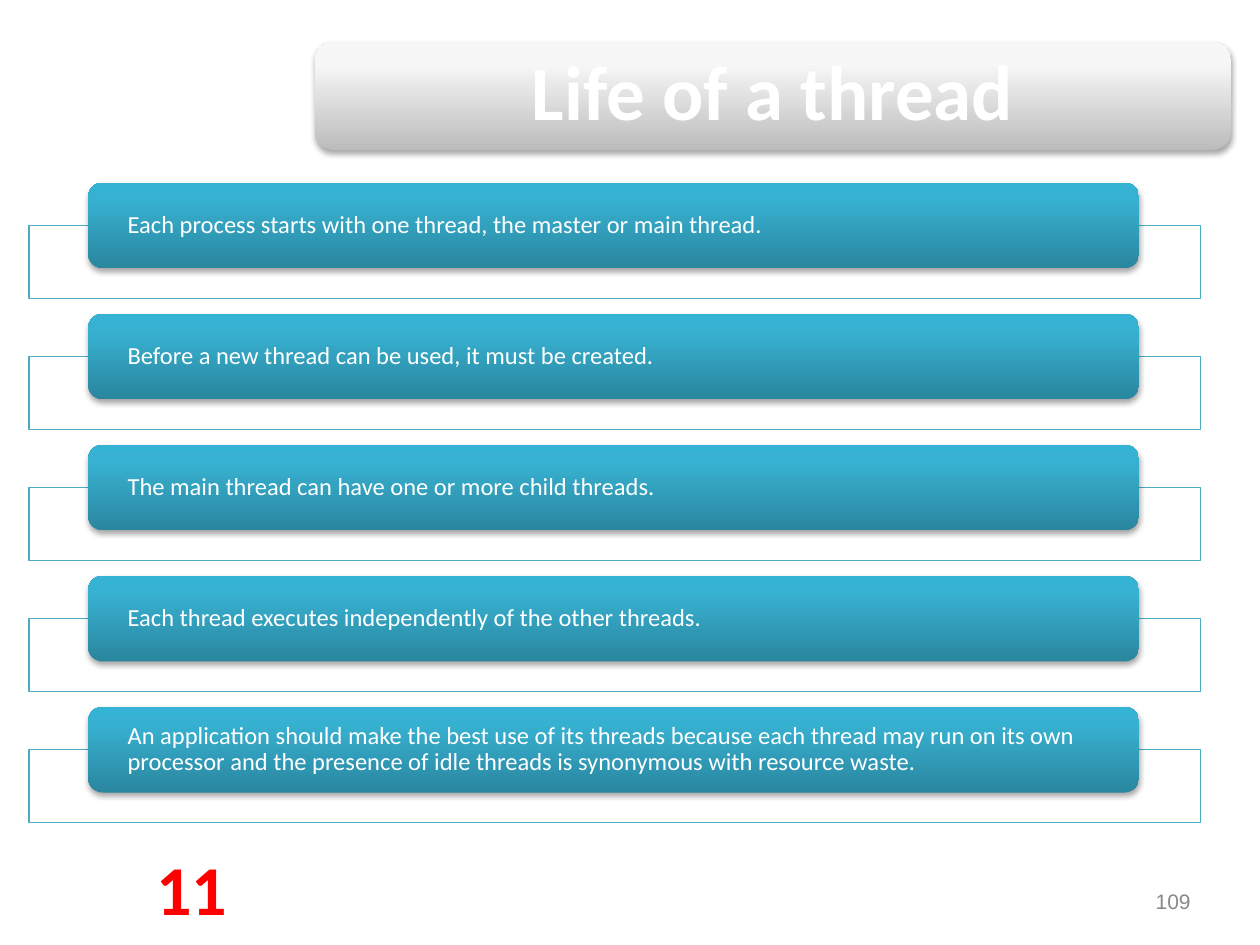
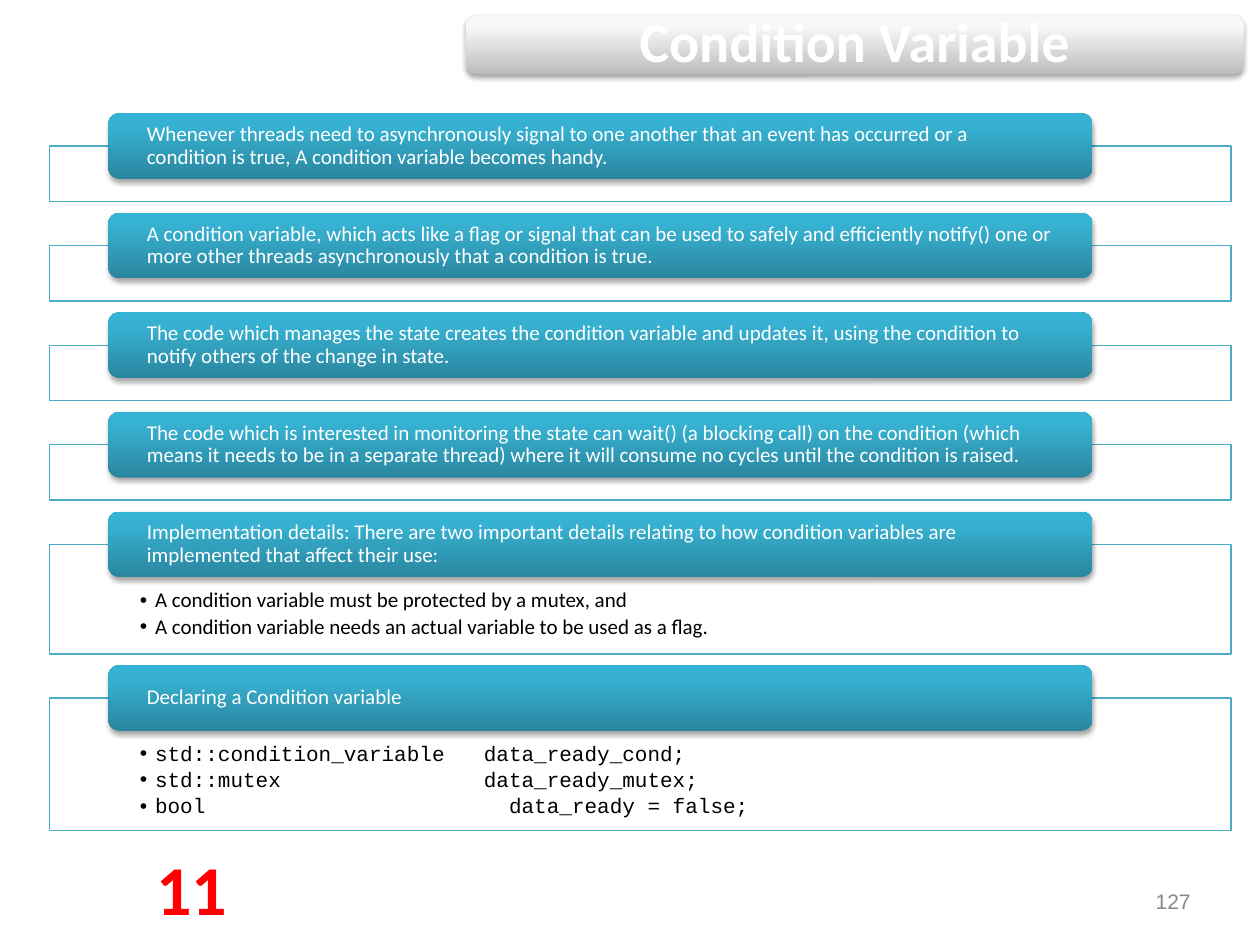
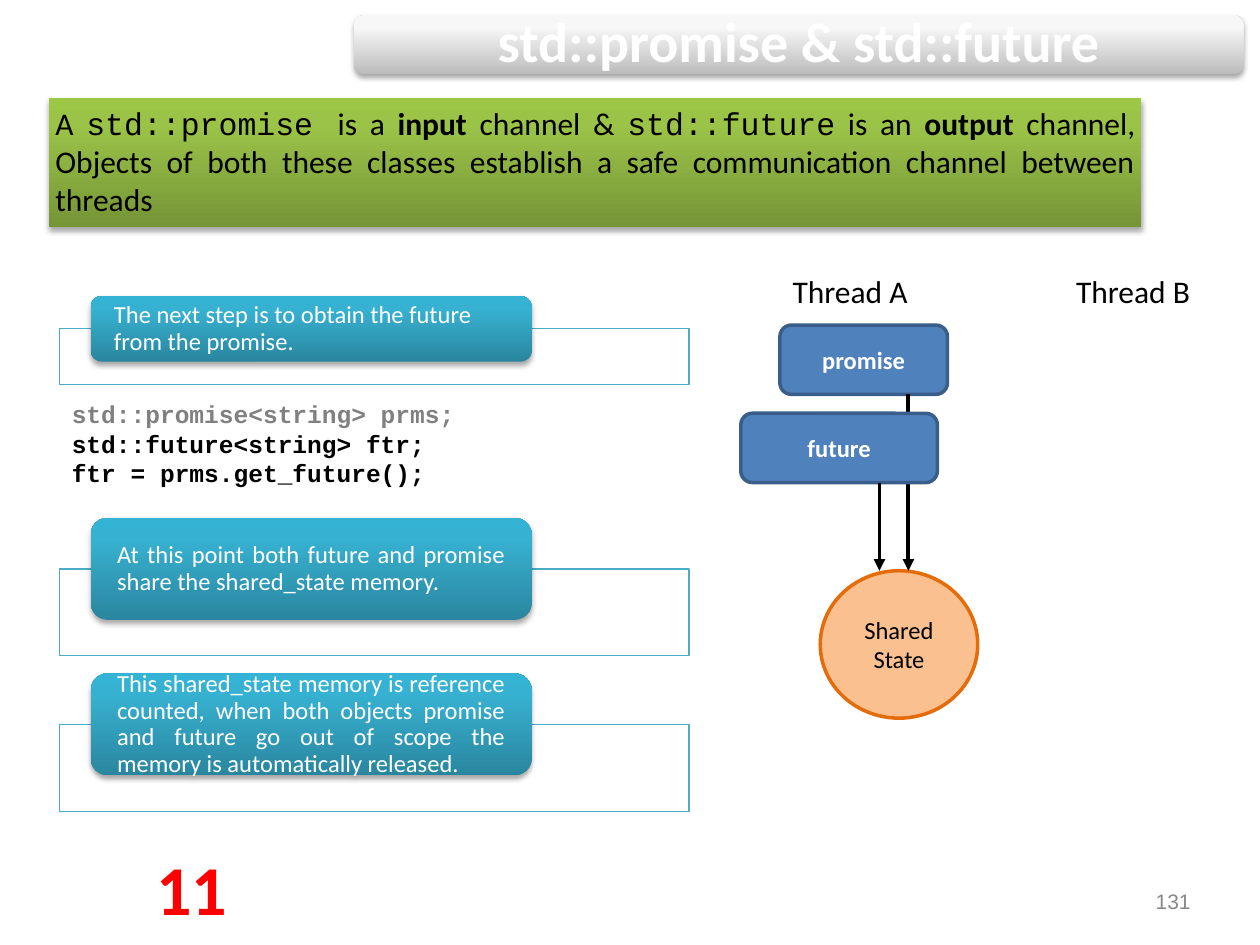
from dataclasses import dataclass

from lxml import etree
from pptx import Presentation
from pptx.dml.color import RGBColor
from pptx.enum.shapes import MSO_CONNECTOR, MSO_SHAPE
from pptx.enum.text import MSO_ANCHOR, MSO_AUTO_SIZE, PP_ALIGN
from pptx.oxml.ns import qn
from pptx.util import Inches, Pt

LEFT, CENTER, RIGHT, JUSTIFY = PP_ALIGN.LEFT, PP_ALIGN.CENTER, PP_ALIGN.RIGHT, PP_ALIGN.JUSTIFY
TOP, MIDDLE = MSO_ANCHOR.TOP, MSO_ANCHOR.MIDDLE
RECT, ROUND, OVAL = MSO_SHAPE.RECTANGLE, MSO_SHAPE.ROUNDED_RECTANGLE, MSO_SHAPE.OVAL
TITLE_ONLY, TWO_CONTENT = 5, 3


@dataclass(frozen=True)
class Theme:
    font: str = "Calibri"
    code: str = "Courier New"
    number_font: str = "Arial"
    white: str = "FFFFFF"
    black: str = "000000"
    grey: str = "808080"
    number: str = "888888"
    red: str = "FF0000"
    frame: str = "4BACC6"
    box: str = "4F81BD"
    box_line: str = "3A5E8A"
    state: str = "FAC090"
    state_line: str = "E46C0A"
    silver: tuple = ((0, "BCBCBC"), (80, "F7F7F7"), (100, "F8F8F8"))
    teal: tuple = ((0, "2A869F"), (80, "37B1D1"), (100, "34B3D5"))
    green: tuple = ((0, "769537"), (80, "9BC348"), (100, "9CC646"))
    title_big: int = 44
    title: int = 32
    badge: int = 40
    lead: int = 18
    body: int = 14
    small: int = 12


T = Theme()

LIFE = [
    ("Each process starts with one thread, the master or main thread.", 0.58),
    ("Before a new thread can be used, it must be created.", 0.58),
    ("The main thread can have one or more child threads.", 0.58),
    ("Each thread executes independently of the other threads.", 0.58),
    ("An application should make the best use of its threads because each thread may run on its own "
     "processor and the presence of idle threads is synonymous with resource waste.", 0.58),
]
CONDITION = [
    ("Whenever threads need to asynchronously signal to one another that an event has occurred or a "
     "condition is true, A condition variable becomes handy.", 0.44),
    ("A condition variable, which acts like a flag or signal that can be used to safely and efficiently "
     "notify() one or more other threads asynchronously that a condition is true.", 0.44),
    ("The code which manages the state creates the condition variable and updates it, using the "
     "condition to notify others of the change in state.", 0.44),
    ("The code which is interested in monitoring the state can wait() (a blocking call) on the condition "
     "(which means it needs to be in a separate thread) where it will consume no cycles until the "
     "condition is raised.", 0.44),
    ("Implementation details: There are two important details relating to how condition variables are "
     "implemented that affect their use:", 0.87),
    ("Declaring a Condition variable", 1.05),
]
DETAILS = [
    "A condition variable must be protected by a mutex, and",
    "A condition variable needs an actual variable to be used as a flag.",
]
DECLARATIONS = [
    "std::condition_variable\tdata_ready_cond;",
    "std::mutex\tdata_ready_mutex;",
    "bool\t\tdata_ready = false;",
]
DECLARATION_TABS = (2.73, 2.93)
OBTAIN = [("The next step is to obtain the future from the promise.", 0.44)]
SHARED = [
    ("At this point both future and promise share the shared_state memory.", 0.69),
    ("This shared_state memory is reference counted, when both objects promise and future go out of "
     "scope the memory is automatically released.", 0.69),
]
CHANNEL = [[
    ("A ", {}),
    ("std::promise ", {"font": T.code}),
    ("is a ", {}),
    ("input", {"bold": True}),
    (" channel & ", {}),
    ("std::future", {"font": T.code}),
    (" is an ", {}),
    ("output", {"bold": True}),
    (" channel, Objects of both these classes establish a safe communication channel between threads", {}),
]]
FUTURE_CODE = [
    [("std::promise<string> prms;", {"color": T.grey})],
    "std::future<string> ftr;",
    "ftr = prms.get_future();",
]
THREADS = [("Thread A", 6.24), ("Thread B", 8.49)]


def rgb(value):
    return RGBColor.from_string(value)


def inches(box):
    return [Inches(v) for v in box]


def write(tf, paras, size=T.body, color=T.black, font=T.font, bold=False, align=LEFT, anchor=TOP,
          inset=(0.05, 0.05), wrap=True, spacing=None, before=0, bullet=False, tabs=()):
    tf.auto_size = MSO_AUTO_SIZE.NONE
    tf.word_wrap = wrap
    tf.vertical_anchor = anchor
    tf.margin_left = tf.margin_right = Inches(inset[0])
    tf.margin_top = tf.margin_bottom = Inches(inset[1])
    for i, para in enumerate(paras):
        p = tf.add_paragraph() if i else tf.paragraphs[0]
        p.alignment = align
        p.line_spacing = spacing
        p.space_before = Pt(before)
        if bullet:
            add_bullet(p, tabs)
        for text, own in [(para, {})] if isinstance(para, str) else para:
            r = p.add_run()
            r.text = text
            r.font.name = own.get("font", font)
            r.font.size = Pt(size)
            r.font.bold = own.get("bold", bold)
            r.font.color.rgb = rgb(own.get("color", color))


def add_bullet(p, tabs):
    pPr = p._p.get_or_add_pPr()
    pPr.set("marL", str(Inches(0.12)))
    pPr.set("indent", str(-Inches(0.12)))
    etree.SubElement(pPr, qn("a:buChar"), char="•")
    if tabs:
        tab_list = etree.SubElement(pPr, qn("a:tabLst"))
        for pos in tabs:
            etree.SubElement(tab_list, qn("a:tab"), pos=str(Inches(pos)), algn="l")


def add_text(s, box, paras, **fmt):
    write(s.shapes.add_textbox(*inches(box)).text_frame, paras, **fmt)


def add_shape(s, kind, box, fill, line=None, width=2, alpha=None):
    sp = s.shapes.add_shape(kind, *inches(box))
    sp.shadow.inherit = False
    sp.fill.solid()
    sp.fill.fore_color.rgb = rgb(fill)
    if alpha:
        color = sp.element.spPr.find(qn("a:solidFill"))[0]
        etree.SubElement(color, qn("a:alpha"), val=str(alpha * 1000))
    if line:
        sp.line.color.rgb = rgb(line)
        sp.line.width = Pt(width)
    else:
        sp.line.fill.background()
    return sp


def add_glossy(s, kind, box, stops):
    sp = add_shape(s, kind, box, stops[0][1])
    sp.fill.gradient()
    sp.fill.gradient_angle = 90
    gs_list = sp.element.spPr.find(".//" + qn("a:gsLst"))
    gs_list[:] = []
    for pos, value in stops:
        gs = etree.SubElement(gs_list, qn("a:gs"), pos=str(pos * 1000))
        etree.SubElement(gs, qn("a:srgbClr"), val=value)
    effects = sp.element.spPr.find(qn("a:effectLst"))
    shadow = etree.SubElement(effects, qn("a:outerShdw"), blurRad=str(Pt(3)), dist=str(Pt(1.8)),
                              dir="5400000", rotWithShape="0")
    color = etree.SubElement(shadow, qn("a:srgbClr"), val=T.black)
    etree.SubElement(color, qn("a:alpha"), val="35000")
    return sp


def place(sp, box):
    sp.left, sp.top, sp.width, sp.height = inches(box)


def add_slide(prs, layout, title, band, number, size=T.title):
    s = prs.slides.add_slide(prs.slide_layouts[layout])
    head = s.shapes.title
    place(head, band)
    write(head.text_frame, [title], size=size, color=T.white, bold=True, align=CENTER,
          anchor=MIDDLE, inset=(0, 0), spacing=0.9)
    head.element.addprevious(add_glossy(s, ROUND, band, T.silver).element)
    add_text(s, (1.18, 6.66, 0.68, 0.66), ["11"], size=T.badge, color=T.red, bold=True, align=CENTER)
    add_text(s, (9.13, 7.02, 0.37, 0.27), [number], size=T.small, color=T.number,
             font=T.number_font, align=RIGHT, anchor=MIDDLE, wrap=False)
    return s


def add_stack(s, rows, frame_x, pill_x, top, pill_h, gap=0, inset=0.28, size=T.body, align=LEFT):
    frame_tops = []
    for text, frame_h in rows:
        middle = top + pill_h / 2
        add_shape(s, RECT, (frame_x[0], middle, frame_x[1], frame_h), T.white, T.frame, 0.75, 90)
        pill = add_glossy(s, ROUND, (pill_x[0], top, pill_x[1], pill_h), T.teal)
        write(pill.text_frame, [text], size=size, color=T.white, align=align, anchor=MIDDLE,
              inset=(inset, 0), spacing=0.9)
        frame_tops.append(middle)
        top = middle + frame_h + gap
    return frame_tops


def add_list(s, index, frame_top, frame_h, items, **fmt):
    body = s.placeholders[index]
    place(body, (1.02, frame_top + 0.27, 8.11, frame_h - 0.27))
    write(body.text_frame, items, size=T.small, inset=(0.09, 0.09), spacing=0.9, before=2,
          bullet=True, **fmt)
    s.shapes[-1].element.addnext(body.element)


def add_arrow(s, x, y1, y2):
    line = s.shapes.add_connector(MSO_CONNECTOR.STRAIGHT, *inches((x, y1, x, y2)))
    line.line.color.rgb = rgb(T.black)
    line.line.width = Pt(2.25)
    etree.SubElement(line.line._get_or_add_ln(), qn("a:tailEnd"), type="triangle")
    etree.SubElement(line.element.spPr, qn("a:effectLst"))


def add_object(s, name, box, arrow_x, state_top):
    sp = add_shape(s, ROUND, box, T.box, T.box_line)
    write(sp.text_frame, [name], color=T.white, bold=True, align=CENTER, anchor=MIDDLE)
    add_arrow(s, arrow_x, box[1] + box[3], state_top)


def life_slide(prs):
    s = add_slide(prs, TITLE_ONLY, "Life of a thread", (2.5, 0.33, 7.27, 0.86), "109", T.title_big)
    add_stack(s, LIFE, (0.23, 9.3), (0.7, 8.34), 1.45, 0.68, 0.12)


def condition_slide(prs):
    s = add_slide(prs, TWO_CONTENT, "Condition Variable", (3.7, 0.12, 6.17, 0.47), "127")
    tops = add_stack(s, CONDITION, (0.39, 9.38), (0.86, 7.81), 0.9, 0.52, 0.09, size=T.small)
    add_list(s, 1, tops[-2], CONDITION[-2][1], DETAILS)
    add_list(s, 2, tops[-1], CONDITION[-1][1], DECLARATIONS, font=T.code, tabs=DECLARATION_TABS)


def promise_slide(prs):
    s = add_slide(prs, TITLE_ONLY, "std::promise & std::future", (2.81, 0.12, 7.06, 0.47), "131")
    channel = add_glossy(s, RECT, (0.39, 0.78, 8.67, 1.02), T.green)
    write(channel.text_frame, CHANNEL, size=T.lead, align=JUSTIFY)
    for name, left in THREADS:
        add_text(s, (left, 2.11, 1.15, 0.36), [name], size=T.lead)
    state = add_shape(s, OVAL, (6.51, 4.53, 1.25, 1.17), T.state, T.state_line)
    write(state.text_frame, ["Shared State"], align=CENTER, anchor=MIDDLE)
    add_object(s, "promise", (6.19, 2.58, 1.33, 0.55), 7.21, 4.53)
    add_object(s, "future", (5.88, 3.28, 1.56, 0.55), 6.98, 4.53)
    frame_x, pill_x = (0.47, 5), (0.72, 3.5)
    add_stack(s, OBTAIN, frame_x, pill_x, 2.35, 0.52, inset=0.16)
    add_text(s, (0.52, 3.12, 5.06, 0.77), FUTURE_CODE, font=T.code, bold=True)
    add_stack(s, SHARED, frame_x, pill_x, 4.11, 0.81, 0.14, inset=0.17, align=JUSTIFY)


def main():
    prs = Presentation()
    prs.slide_width, prs.slide_height = Inches(10), Inches(7.5)
    life_slide(prs)
    condition_slide(prs)
    promise_slide(prs)
    prs.save("out.pptx")


if __name__ == "__main__":
    main()
